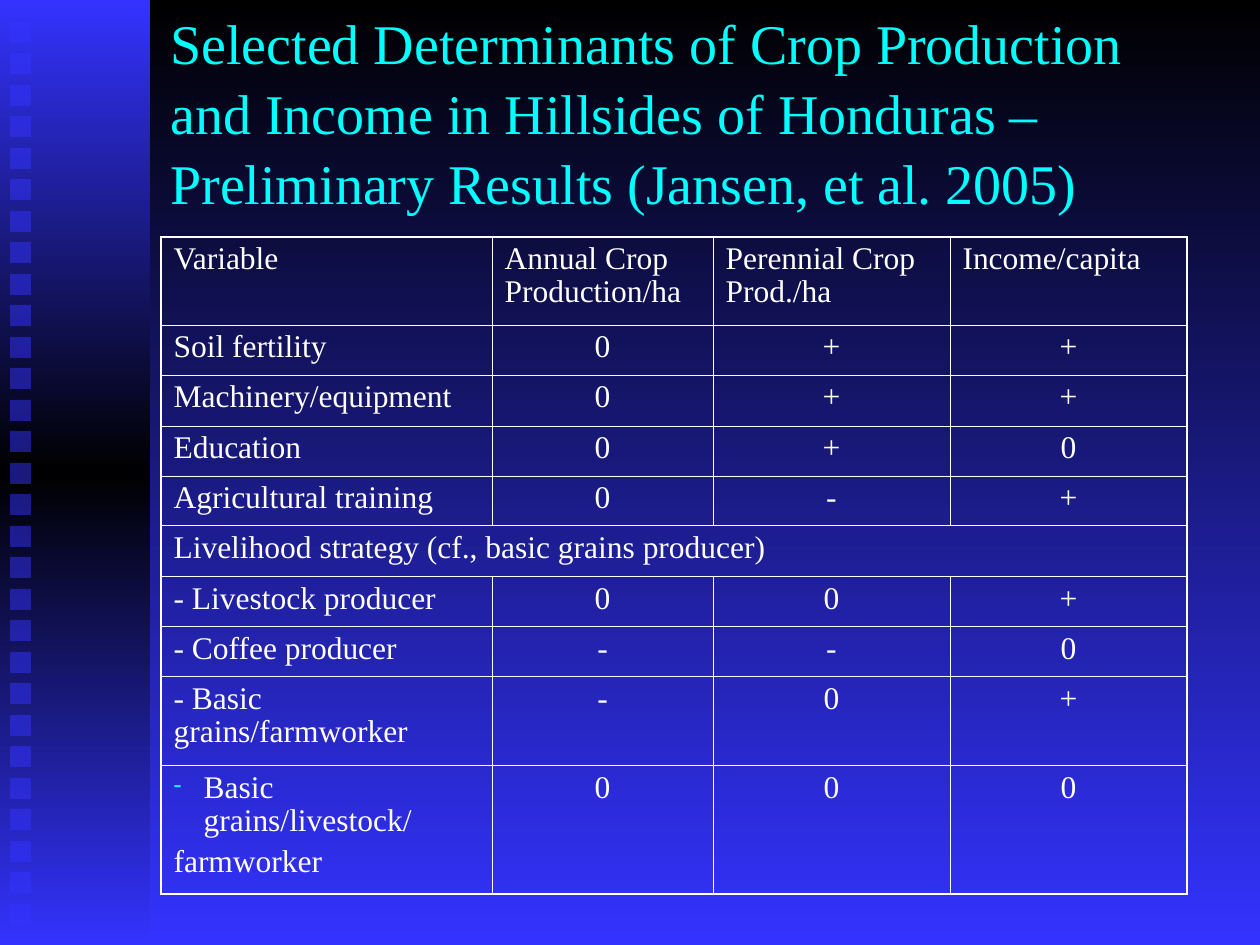
from dataclasses import dataclass
from itertools import pairwise

from lxml import etree
from pptx import Presentation
from pptx.dml.color import RGBColor
from pptx.enum.shapes import MSO_SHAPE
from pptx.enum.text import MSO_ANCHOR, PP_ALIGN
from pptx.oxml.ns import qn
from pptx.util import Emu, Pt

RECTANGLE = MSO_SHAPE.RECTANGLE
MIDDLE = MSO_ANCHOR.MIDDLE
LEFT, CENTER = PP_ALIGN.LEFT, PP_ALIGN.CENTER

PX_PER_INCH = 126
FONT = "Times New Roman"
BLUE, BLACK, WHITE, CYAN = "3333FF", "000000", "FFFFFF", "00FFFF"
OUTER_LINE, INNER_LINE = 1.08, 0.45

TITLE = ("Selected Determinants of Crop Production and Income in Hillsides "
         "of Honduras – Preliminary Results (Jansen, et al. 2005)")
COLUMN_EDGES = [161, 492, 713, 950, 1187]
ROW_EDGES = [237, 325, 375, 426, 476, 526, 577, 627, 677, 766, 862]


@dataclass
class Box:
    left: int
    top: int
    width: int
    height: int

    def emu(self) -> list[Emu]:
        return [px(n) for n in (self.left, self.top, self.width, self.height)]


@dataclass
class Row:
    label: str
    values: tuple[str, ...] = ()
    align: int = CENTER
    bulleted: bool = False


ROWS = [
    Row("Variable", ("Annual Crop Production/ha", "Perennial Crop Prod./ha",
                     "Income/capita"), align=LEFT),
    Row("Soil fertility", ("0", "+", "+")),
    Row("Machinery/equipment", ("0", "+", "+")),
    Row("Education", ("0", "+", "0")),
    Row("Agricultural training", ("0", "-", "+")),
    Row("Livelihood strategy (cf., basic grains producer)"),
    Row("- Livestock producer", ("0", "0", "+")),
    Row("- Coffee producer", ("-", "-", "0")),
    Row("- Basic grains/farmworker", ("-", "0", "+")),
    Row("Basic grains/livestock/\nfarmworker", ("0", "0", "0"), bulleted=True),
]


def px(length: int) -> Emu:
    return Emu(round(length * 914400 / PX_PER_INCH))


def color(hex_value: str) -> RGBColor:
    return RGBColor.from_string(hex_value)


def add_color(parent, hex_value: str):
    return etree.SubElement(parent, qn("a:srgbClr"), val=hex_value)


def fill_gradient(fill, element, colors: list[str]) -> None:
    """Fill from top to bottom with evenly spaced colours."""
    fill.gradient()
    fill.gradient_angle = 270
    stops = element.find(".//" + qn("a:gsLst"))
    for stop in list(stops):
        stops.remove(stop)
    for index, hex_value in enumerate(colors):
        position = 100000 * index // (len(colors) - 1)
        add_color(etree.SubElement(stops, qn("a:gs"), pos=str(position)), hex_value)


def add_rectangle(slide, box: Box):
    shape = slide.shapes.add_shape(RECTANGLE, *box.emu())
    shape.shadow.inherit = False
    shape.line.fill.background()
    return shape


def add_dash_bullet(para) -> None:
    properties = para._p.get_or_add_pPr()
    properties.set("marL", str(px(30)))
    properties.set("indent", str(-px(30)))
    add_color(etree.SubElement(properties, qn("a:buClr")), CYAN)
    etree.SubElement(properties, qn("a:buSzPct"), val="75000")
    etree.SubElement(properties, qn("a:buChar"), char="-")


def write_text(frame, text: str, *, size: int, hex_value: str, spacing: float,
               align: int = LEFT, bulleted: bool = False) -> None:
    frame.word_wrap = True
    for index, line in enumerate(text.split("\n")):
        para = frame.add_paragraph() if index else frame.paragraphs[0]
        para.alignment = align
        para.line_spacing = spacing
        if index:
            para.space_before = Pt(4.5)
        elif bulleted:
            add_dash_bullet(para)
        span = para.add_run()
        span.text = line
        span.font.name = FONT
        span.font.size = Pt(size)
        span.font.color.rgb = color(hex_value)


def set_borders(cell, widths: dict[str, float]) -> None:
    properties = cell._tc.get_or_add_tcPr()
    for side, width in widths.items():
        line = etree.SubElement(properties, qn("a:ln" + side), w=str(Pt(width)))
        add_color(etree.SubElement(line, qn("a:solidFill")), WHITE)


def add_results_table(slide) -> None:
    last_row, last_column = len(ROWS) - 1, len(COLUMN_EDGES) - 2
    box = Box(COLUMN_EDGES[0], ROW_EDGES[0], COLUMN_EDGES[-1] - COLUMN_EDGES[0],
              ROW_EDGES[-1] - ROW_EDGES[0])
    table = slide.shapes.add_table(last_row + 1, last_column + 1, *box.emu()).table
    table.first_row = table.horz_banding = False
    for column, (start, end) in zip(table.columns, pairwise(COLUMN_EDGES)):
        column.width = px(end - start)
    for table_row, (start, end) in zip(table.rows, pairwise(ROW_EDGES)):
        table_row.height = px(end - start)

    for r, row in enumerate(ROWS):
        for c in range(last_column + 1):
            cell = table.cell(r, c)
            on_edge = {"L": c == 0, "R": c == last_column or not row.values,
                       "T": r == 0, "B": r == last_row}
            set_borders(cell, {side: OUTER_LINE if outer else INNER_LINE
                               for side, outer in on_edge.items()})
            cell.fill.background()
        for c, text in enumerate((row.label, *row.values)):
            write_text(table.cell(r, c).text_frame, text, size=18, hex_value=WHITE,
                       spacing=0.95, align=row.align if c else LEFT,
                       bulleted=row.bulleted and c == 0)
        if not row.values:
            table.cell(r, 0).merge(table.cell(r, last_column))


def main() -> None:
    deck = Presentation()
    deck.slide_width, deck.slide_height = px(1260), px(945)
    slide = deck.slides.add_slide(deck.slide_layouts[6])

    # Background and side band
    fill_gradient(slide.background.fill, slide._element, [BLACK, BLUE])
    band = add_rectangle(slide, Box(0, 0, 150, 945))
    fill_gradient(band.fill, band._element, [BLUE, BLACK, BLUE])

    # Column of half-transparent squares
    for index in range(29):
        square = add_rectangle(slide, Box(10, 22 + 63 * index // 2, 21, 21))
        square.fill.solid()
        square.fill.fore_color.rgb = color(BLUE)
        tint = square._element.spPr.find(".//" + qn("a:srgbClr"))
        etree.SubElement(tint, qn("a:alpha"), val="50000")

    # Title
    title = slide.shapes.add_textbox(*Box(158, 32, 1071, 157).emu())
    title.text_frame.vertical_anchor = MIDDLE
    write_text(title.text_frame, TITLE, size=32, hex_value=CYAN, spacing=1.04)

    # Results
    add_results_table(slide)
    deck.save("out.pptx")


if __name__ == "__main__":
    main()
